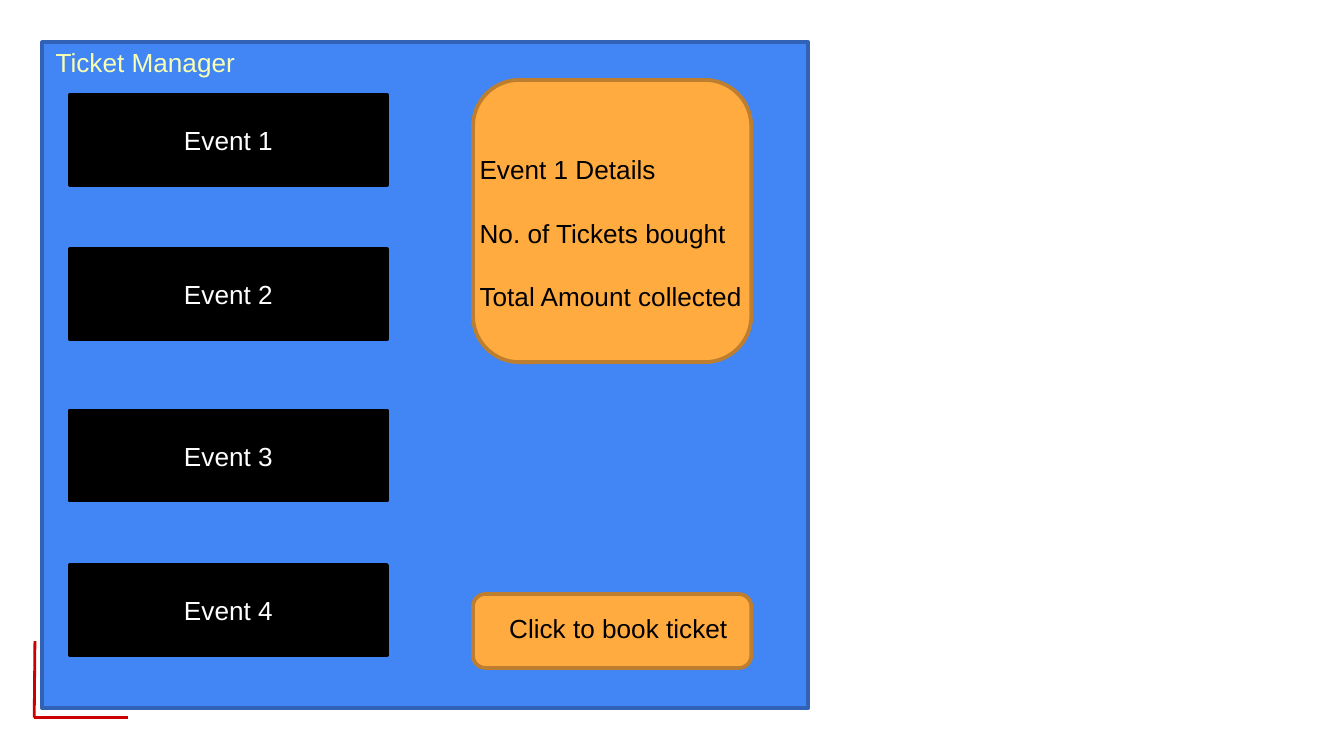
from lxml.etree import SubElement
from pptx import Presentation
from pptx.dml.color import RGBColor as RGB
from pptx.enum.shapes import MSO_CONNECTOR as Link, MSO_SHAPE as Kind
from pptx.enum.text import MSO_ANCHOR as Anchor, PP_ALIGN as Align
from pptx.oxml.ns import qn
from pptx.util import Pt

SCALE = 4572
BLUE, NAVY = RGB(0x42, 0x85, 0xF4), RGB(0x31, 0x62, 0xB5)
ORANGE, BROWN = RGB(0xFF, 0xAB, 0x40), RGB(0xBD, 0x7F, 0x2F)
BLACK, WHITE = RGB(0, 0, 0), RGB(255, 255, 255)
CREAM, RED = RGB(0xF8, 0xFF, 0xB3), RGB(0xCC, 0, 0)


def px(*sizes):
    """Turn px lengths into EMU."""
    return [size * SCALE for size in sizes]


def write(frame, *lines, color=BLACK, align=Align.LEFT, anchor=Anchor.TOP,
          gap=0, inset=20):
    """Fill a text frame with one paragraph per line."""
    frame.word_wrap = True
    frame.vertical_anchor = anchor
    frame.margin_left = frame.margin_right = inset * SCALE
    frame.margin_top = frame.margin_bottom = inset * SCALE
    for i, line in enumerate(lines):
        par = frame.add_paragraph() if i else frame.paragraphs[0]
        par.alignment = align
        par.space_after = Pt(gap)
        run = par.add_run()
        run.text = line
        run.font.name, run.font.size = "Arial", Pt(14)
        run.font.color.rgb = color


def panel(slide, kind, x, y, w, h, fill, edge):
    """Draw a filled, outlined shape."""
    shape = slide.shapes.add_shape(kind, *px(x, y, w, h))
    shape.shadow.inherit = False
    shape.fill.solid()
    shape.fill.fore_color.rgb = fill
    shape.line.color.rgb = edge
    shape.line.width = Pt(2)
    return shape


def label(slide, x, y, *lines, **style):
    """Place a free text box."""
    box = slide.shapes.add_textbox(*px(x, y, 472, 92))
    write(box.text_frame, *lines, **style)


def corner(slide, x, y):
    """Draw the red corner mark from its joint."""
    for dx, dy in ((139, 0), (1, -114)):
        line = slide.shapes.add_connector(
            Link.STRAIGHT, *px(x, y, x + dx, y + dy))
        line.line.color.rgb = RED
        line.line.width = Pt(1.5)
        SubElement(line._element.spPr, qn("a:effectLst"))


def events(slide, x, y):
    """Stack the event buttons."""
    for i, top in enumerate((0, 230, 470, 700), 1):
        card = panel(slide, Kind.RECTANGLE, x, y + top, 472, 134,
                     BLACK, BLACK)
        write(card.text_frame, f"Event {i}", color=WHITE,
              align=Align.CENTER, anchor=Anchor.MIDDLE)


def details(slide, x, y):
    """Draw the card with the details of an event."""
    panel(slide, Kind.ROUNDED_RECTANGLE, x, y, 414, 420, ORANGE, BROWN)
    label(slide, x - 10, y + 90, "Event 1 Details", "No. of Tickets bought",
          "Total Amount collected", gap=17)


def booking(slide, x, y):
    """Draw the booking button."""
    panel(slide, Kind.ROUNDED_RECTANGLE, x, y, 414, 110, ORANGE, BROWN)
    label(slide, x + 34, y + 8, "Click to book ticket")


def manager(slide, x, y):
    """Draw the ticket manager window and its parts."""
    panel(slide, Kind.RECTANGLE, x, y, 1140, 991, BLUE, NAVY)
    events(slide, x + 41, y + 78)
    details(slide, x + 641, y + 56)
    label(slide, x, y - 14, "Ticket Manager", color=CREAM)
    booking(slide, x + 641, y + 821)


def main():
    """Build and save the slide."""
    deck = Presentation()
    deck.slide_width, deck.slide_height = px(2000, 1125)
    slide = deck.slides.add_slide(deck.slide_layouts[6])
    corner(slide, 51, 1068)
    manager(slide, 63, 63)
    deck.save("out.pptx")


if __name__ == "__main__":
    main()
